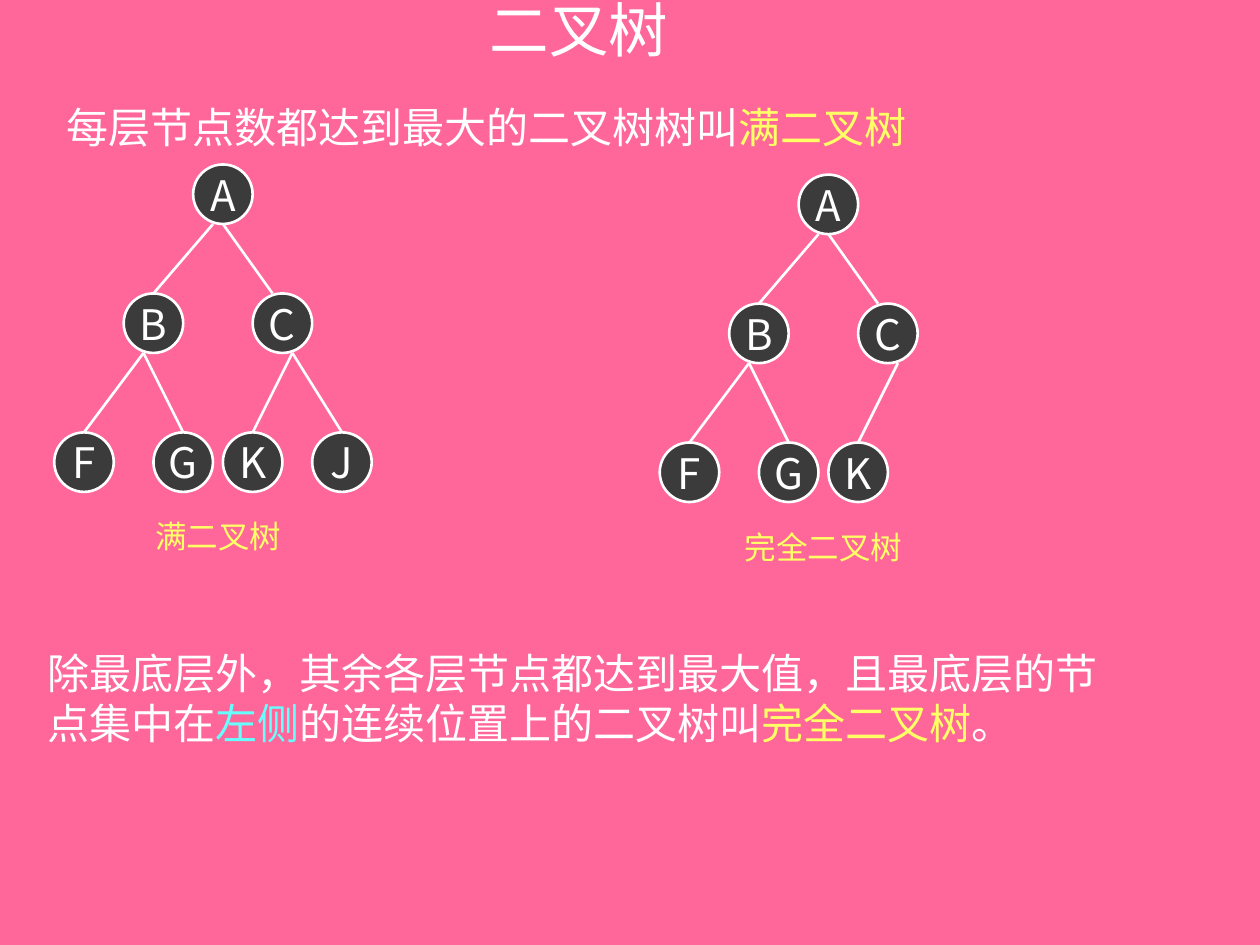
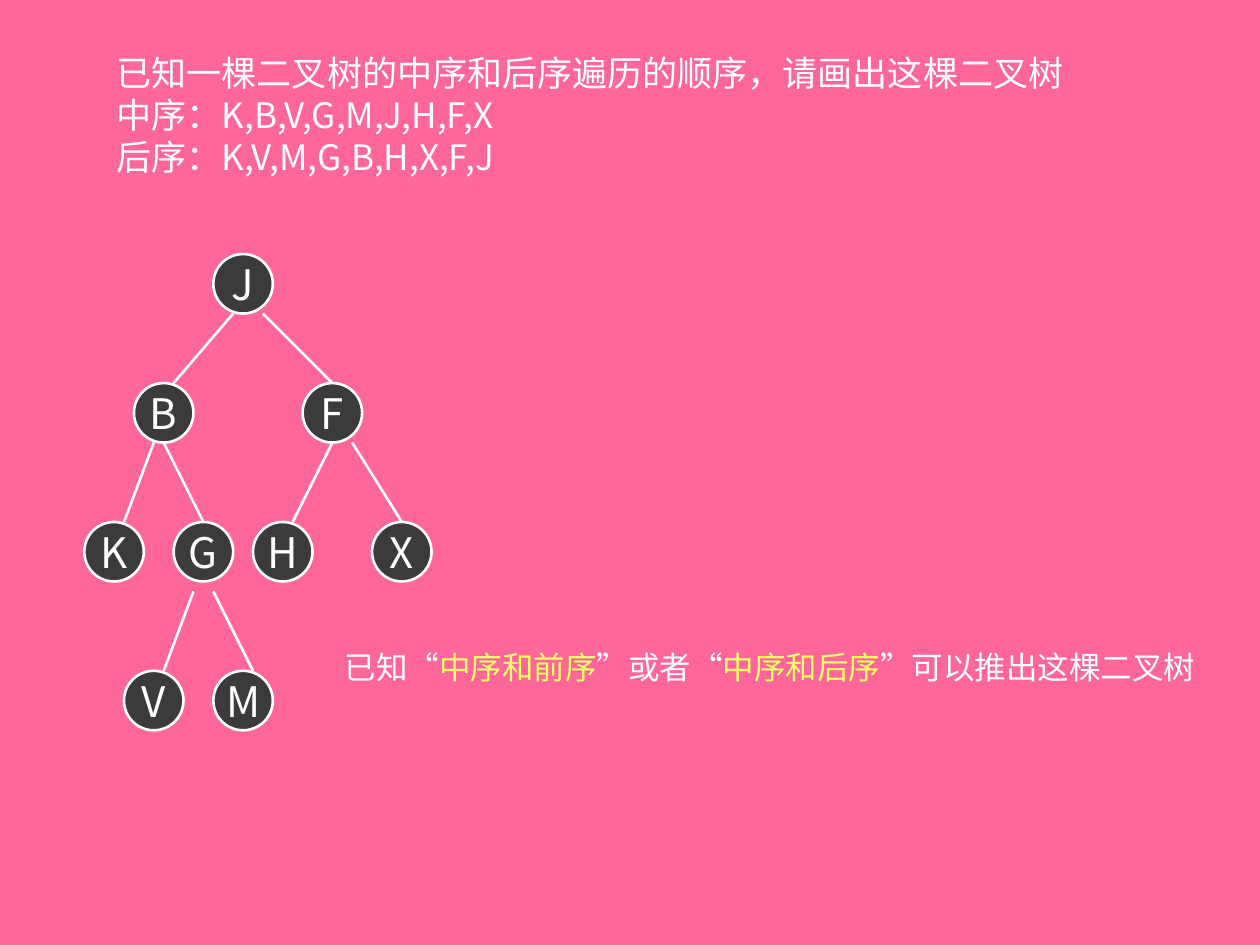
from lxml.etree import SubElement
from pptx import Presentation
from pptx.dml.color import RGBColor
from pptx.enum.shapes import MSO_CONNECTOR, MSO_SHAPE
from pptx.enum.text import MSO_ANCHOR, MSO_AUTO_SIZE, PP_ALIGN
from pptx.oxml.ns import qn
from pptx.util import Pt

PINK, DARK, WHITE, YELLOW, CYAN = "FF6699", "3B3B3B", "FFFFFF", "FFFF66", "66FFFF"
SC, JP = "Noto Sans CJK SC", "Noto Sans CJK JP"
UNIT = 5.67
NODE = 6
LINE_WIDTH = 1.5

TITLE = [[("二叉树", WHITE)]]
FULL_RULE = [[("每层节点数都达到最大的二叉树树叫", WHITE), ("满二叉树", YELLOW)]]
COMPLETE_RULE = [[
    ("除最底层外，其余各层节点都达到最大值，且最底层的节点集中在", WHITE),
    ("左侧", CYAN),
    ("的连续位置上的二叉树叫", WHITE),
    ("完全二叉树", YELLOW),
    ("。", WHITE),
]]
QUESTION = [
    [("已知一棵二叉树的中序和后序遍历的顺序，请画出这棵二叉树", WHITE)],
    [("中序：K,B,V,G,M,J,H,F,X", WHITE)],
    [("后序：K,V,M,G,B,H,X,F,J", WHITE)],
]
CONCLUSION = [[
    ("已知“", WHITE),
    ("中序和前序", YELLOW),
    ("”或者“", WHITE),
    ("中序和后序", YELLOW),
    ("”可以推出这棵二叉树", WHITE),
]]

# Node: column and row in grid units; edge: parent, child, start shift, end shift, drop.
COMPLETE_NODES = {"A": (14, 0), "B": (7, 13), "C": (20, 13),
                  "F": (0, 27), "G": (10, 27), "K": (17, 27)}
COMPLETE_EDGES = [("A", "B", -1, 0, 0), ("A", "C", 0, -1, 0), ("B", "F", -1, 0, 0),
                  ("B", "G", -1, 0, 0), ("C", "K", 1, 0, 0)]
FULL_NODES = {**COMPLETE_NODES, "J": (26, 27)}
FULL_EDGES = [*COMPLETE_EDGES, ("C", "J", 1, 0, 0)]
ANSWER_NODES = {"J": (13, 0), "B": (5, 13), "F": (22, 13), "K": (0, 27), "G": (9, 27),
                "H": (17, 27), "X": (29, 27), "V": (4, 42), "M": (13, 42)}
ANSWER_EDGES = [("J", "B", -1, 1, 0), ("J", "F", 2, 0, 0), ("B", "K", -1, 1, 0),
                ("B", "G", 0, 0, 0), ("F", "H", 0, 1, 0), ("F", "X", 2, 0, 0),
                ("G", "V", -1, 1, 1), ("G", "M", 1, 1, 1)]


def colour(code):
    """Turn a hex string into a colour."""
    return RGBColor.from_string(code)


def write(frame, paragraphs, size, font, align=PP_ALIGN.LEFT, spacing=None):
    """Fill a text frame with paragraphs of coloured runs."""
    for index, spans in enumerate(paragraphs):
        para = frame.add_paragraph() if index else frame.paragraphs[0]
        para.alignment = align
        para.space_before = Pt(0)
        if spacing:
            para.line_spacing = Pt(spacing)
        for text, code in spans:
            span = para.add_run()
            span.text = text
            span.font.size = Pt(size)
            span.font.color.rgb = colour(code)
            span.font.name = font
            east_asian = SC if font == "Arial" else font
            SubElement(span.font._element, qn("a:ea")).set("typeface", east_asian)


def add_text(page, bounds, paragraphs, size, font, align=PP_ALIGN.LEFT,
             anchor=MSO_ANCHOR.TOP, wrap=True):
    """Add a text box that grows with its text."""
    frame = page.shapes.add_textbox(*map(Pt, bounds)).text_frame
    frame.word_wrap = wrap
    frame.auto_size = MSO_AUTO_SIZE.SHAPE_TO_FIT_TEXT
    frame.vertical_anchor = anchor
    write(frame, paragraphs, size, font, align, size * 1.2)


def add_node(page, letter, left, top):
    """Draw one lettered circle."""
    node = page.shapes.add_shape(MSO_SHAPE.OVAL, Pt(left), Pt(top),
                                 Pt(NODE * UNIT), Pt(NODE * UNIT))
    node.shadow.inherit = False
    node.fill.solid()
    node.fill.fore_color.rgb = colour(DARK)
    node.line.color.rgb = colour(WHITE)
    node.line.width = Pt(LINE_WIDTH)
    frame = node.text_frame
    frame.word_wrap = False
    frame.vertical_anchor = MSO_ANCHOR.MIDDLE
    write(frame, [[(letter, WHITE)]], 24, JP, PP_ALIGN.CENTER)


def add_edge(page, start, end):
    """Draw a white line between two points."""
    edge = page.shapes.add_connector(MSO_CONNECTOR.STRAIGHT, *map(Pt, start + end))
    edge.line.color.rgb = colour(WHITE)
    edge.line.width = Pt(LINE_WIDTH)
    SubElement(edge._element.spPr, qn("a:effectLst"))


def add_tree(page, left, top, nodes, edges):
    """Draw a tree on the unit grid from its top left corner."""
    def place(column, row):
        """Convert a grid position to points."""
        return left + column * UNIT, top + row * UNIT

    for letter, position in nodes.items():
        add_node(page, letter, *place(*position))
    for parent, child, start_shift, end_shift, drop in edges:
        parent_column, parent_row = nodes[parent]
        child_column, child_row = nodes[child]
        start = place(parent_column + NODE / 2 + start_shift, parent_row + NODE + drop)
        end = place(child_column + NODE / 2 + end_shift, child_row)
        add_edge(page, start, end)


def add_title(page, paragraphs):
    """Place and format the title placeholder."""
    title = page.shapes.title
    title.left, title.top, title.width, title.height = map(Pt, (36.8, 0, 588, 33))
    frame = title.text_frame
    frame.word_wrap = True
    frame.auto_size = MSO_AUTO_SIZE.NONE
    frame.vertical_anchor = MSO_ANCHOR.MIDDLE
    frame.margin_left = frame.margin_right = Pt(3.6)
    frame.margin_top = frame.margin_bottom = Pt(3.6)
    write(frame, paragraphs, 34, "Arial", PP_ALIGN.CENTER)


def build_definitions(deck):
    """Build the slide on full and complete binary trees."""
    page = deck.slides.add_slide(deck.slide_layouts[5])
    add_title(page, TITLE)
    add_text(page, (31, 54.7, 618, 36), FULL_RULE, 24, SC)
    add_text(page, (20.2, 366.5, 618, 64.8), COMPLETE_RULE, 24, SC)
    trees = [("满二叉树", 31, 94, 17.2, FULL_NODES, FULL_EDGES),
             ("完全二叉树", 377, 99.8, 17, COMPLETE_NODES, COMPLETE_EDGES)]
    for name, left, top, indent, nodes, edges in trees:
        add_tree(page, left, top, nodes, edges)
        add_text(page, (left + indent, top + 198.2, 153, 28.8), [[(name, YELLOW)]],
                 18, SC, PP_ALIGN.CENTER)


def build_exercise(deck):
    """Build the slide that derives a tree from its traversals."""
    page = deck.slides.add_slide(deck.slide_layouts[6])
    add_tree(page, 48.2, 145.2, ANSWER_NODES, ANSWER_EDGES)
    add_text(page, (59.6, 26, 578, 79.2), QUESTION, 20, JP, anchor=MSO_ANCHOR.MIDDLE)
    add_text(page, (190, 366.5, 500.4, 28.8), CONCLUSION, 18, JP,
             anchor=MSO_ANCHOR.MIDDLE, wrap=False)


def main():
    """Build and save the deck."""
    deck = Presentation()
    deck.slide_width, deck.slide_height = Pt(720), Pt(540)
    backdrop = deck.slide_master.background.fill
    backdrop.solid()
    backdrop.fore_color.rgb = colour(PINK)
    build_definitions(deck)
    build_exercise(deck)
    deck.save("out.pptx")


if __name__ == "__main__":
    main()
